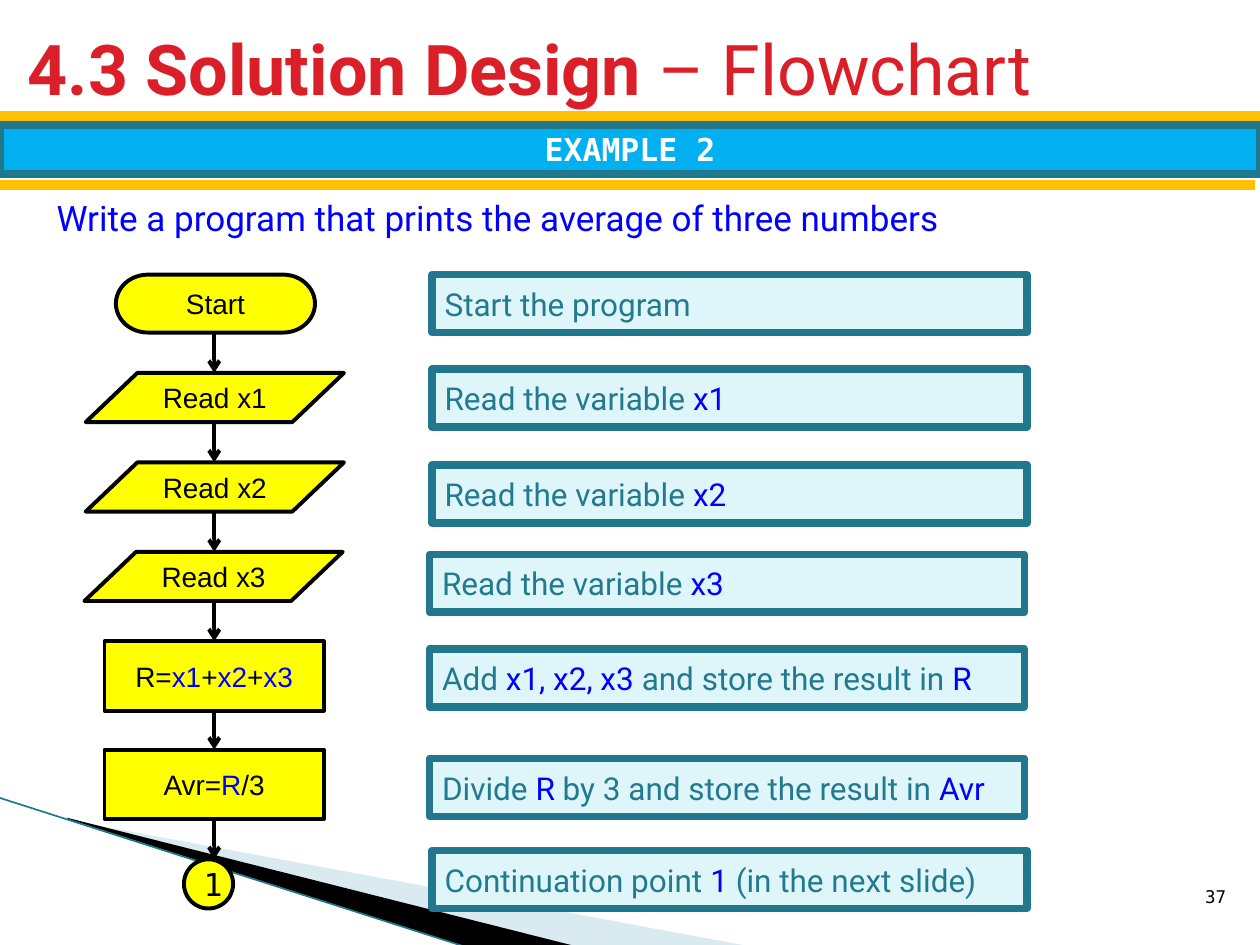
from lxml import etree
from pptx import Presentation
from pptx import util as u
from pptx.dml.color import RGBColor
from pptx.enum import shapes, text
from pptx.oxml.ns import qn

Inches, Pt = u.Inches, u.Pt
Kind, Align, Anchor = shapes.MSO_SHAPE, text.PP_ALIGN, text.MSO_ANCHOR
COLORS = {k: RGBColor.from_string(v) for k, v in {
    "red": "DA1F28", "gold": "FFC000", "sky": "00B0F0", "teal": "21788D",
    "note": "227A8F", "pale": "DEF5FA", "yellow": "FFFF00", "blue": "0000FF",
    "black": "000000", "white": "FFFFFF", "mist": "A0CBDC"}.items()}


def write(box, words, size, font, color, align=Align.LEFT, anchor=Anchor.MIDDLE, wrap=True):
    frame = box.text_frame
    frame.word_wrap = wrap
    frame.vertical_anchor = anchor
    line = frame.paragraphs[0]
    line.alignment = align
    line.font.size, line.font.name = Pt(size), font
    line.font.color.rgb = COLORS[color]
    for i, part in enumerate(words.split("|")):
        run = line.add_run()
        run.text = part
        if i % 2:
            run.font.color.rgb = COLORS["blue"]
    return line


def draw_line(x1, y1, x2, y2, color, width):
    line = slide.shapes.add_connector(
        shapes.MSO_CONNECTOR.STRAIGHT, Inches(x1), Inches(y1), Inches(x2), Inches(y2))
    line.line.color.rgb = COLORS[color]
    line.line.width = Pt(width)
    etree.SubElement(line._element.spPr, qn("a:effectLst"))
    return line


prs = Presentation()
prs.slide_width, prs.slide_height = Inches(10), Inches(7.5)
slide = prs.slides.add_slide(prs.slide_layouts[5])

wedges = [
    ("mist", [(0.55, 6.51), (5.95, 7.51), (4.56, 7.51), (0.55, 6.5)]),
    ("black", [(0.53, 6.49), (4.57, 7.51), (3.72, 7.52), (0.54, 6.5)]),
]
for color, points in wedges:
    corners = [(Inches(x), Inches(y)) for x, y in points]
    builder = slide.shapes.build_freeform(*corners[0])
    builder.add_line_segments(corners[1:])
    wedge = builder.convert_to_shape()
    wedge.shadow.inherit = False
    wedge.fill.solid()
    wedge.fill.fore_color.rgb = COLORS[color]
    wedge.line.fill.background()
    if color == "mist":
        tint = wedge._element.spPr.find(qn("a:solidFill"))[0]
        etree.SubElement(tint, qn("a:alpha"), val="40000")
draw_line(-0.01, 6.33, 3.71, 7.52, "teal", 0.95)

page_number = slide.shapes.add_textbox(Inches(9), Inches(6.83), Inches(0.83), Inches(0.42))
write(page_number, "37", 10, "DejaVu Sans Mono", "black", Align.RIGHT, Anchor.BOTTOM)

draw_line(0, 0.92, 10, 0.92, "gold", 6)
draw_line(-0.04, 1.47, 9.96, 1.47, "gold", 6)

title = slide.shapes.title
title.left, title.top, title.width, title.height = map(Inches, (0.12, 0.11, 9.55, 0.85))
heading = write(title, "4.3 Solution Design ", 40, "Roboto", "red")
heading.runs[0].font.bold = True
topic = heading.add_run()
topic.text = "– Flowchart"
topic.font.bold = False
title.text_frame.auto_size = text.MSO_AUTO_SIZE.NONE

task = slide.shapes.add_textbox(Inches(0.35), Inches(1.55), Inches(9.29), Inches(0.4))
write(task, "Write a program that prints the average of three numbers",
      20, "Roboto", "blue", anchor=Anchor.TOP).line_spacing = 0.9

CENTER = 1.7
steps = [
    (Kind.FLOWCHART_TERMINATOR, 0.92, 2.18, 1.58, 0.46, "Start"),
    (Kind.FLOWCHART_DATA, 0.68, 2.96, 2.05, 0.39, "Read x1"),
    (Kind.FLOWCHART_DATA, 0.68, 3.67, 2.05, 0.39, "Read x2"),
    (Kind.FLOWCHART_DATA, 0.67, 4.38, 2.05, 0.39, "Read x3"),
    (Kind.FLOWCHART_PROCESS, 0.83, 5.09, 1.74, 0.55, "R=|x1|+|x2|+|x3"),
    (Kind.FLOWCHART_PROCESS, 0.83, 5.95, 1.74, 0.55, "Avr=|R|/3"),
    (Kind.OVAL, 1.46, 6.82, 0.39, 0.39, "1"),
]
notes = [
    (3.43, 2.18, "Start the program"),
    (3.43, 2.93, "Read the variable |x1"),
    (3.43, 3.69, "Read the variable |x2"),
    (3.41, 4.4, "Read the variable |x3"),
    (3.41, 5.15, "Add |x1, x2, x3 |and store the result in |R"),
    (3.41, 6.02, "Divide |R| by 3 and store the result in |Avr"),
    (3.43, 6.75, "Continuation point |1| (in the next slide)"),
]
boxes = [(Kind.RECTANGLE, 0, 0.99, 10, 0.39, "EXAMPLE 2", "banner")]
boxes += [(*step, "step") for step in steps]
boxes += [(Kind.RECTANGLE, x, y, 4.72, 0.46, words, "note") for x, y, words in notes]
looks = {
    "banner": ("sky", "teal", 4.33, 18, "DejaVu Sans Mono", "white", Align.CENTER),
    "step": ("yellow", "black", 2.25, 16, "Arial", "black", Align.CENTER),
    "note": ("pale", "teal", 4.33, 18, "Roboto", "note", Align.LEFT),
}
step_boxes = []
for kind, x, y, w, h, words, role in boxes:
    fill, border, weight, size, font, color, align = looks[role]
    box = slide.shapes.add_shape(kind, Inches(x), Inches(y), Inches(w), Inches(h))
    box.shadow.inherit = False
    box.fill.solid()
    box.fill.fore_color.rgb = COLORS[fill]
    box.line.color.rgb = COLORS[border]
    box.line.width = Pt(weight)
    if kind == Kind.OVAL:
        size, font = 18, "DejaVu Sans Mono"
    label = write(box, words, size, font, color, align,
                  wrap=role != "step" or kind == Kind.OVAL)
    if role == "banner":
        label.font.bold = True
    if role == "step":
        step_boxes.append(box)

for i in range(len(steps) - 1):
    kind, _, top, _, height, _ = steps[i]
    next_kind, _, next_top, _, _, _ = steps[i + 1]
    arrow = draw_line(CENTER, top + height, CENTER, next_top, "black", 2.25)
    etree.SubElement(arrow.line._get_or_add_ln(), qn("a:tailEnd"), type="arrow")
    if kind == Kind.FLOWCHART_PROCESS:
        arrow.begin_connect(step_boxes[i], 2)
    if next_kind == Kind.FLOWCHART_PROCESS:
        arrow.end_connect(step_boxes[i + 1], 0)

prs.save("out.pptx")
